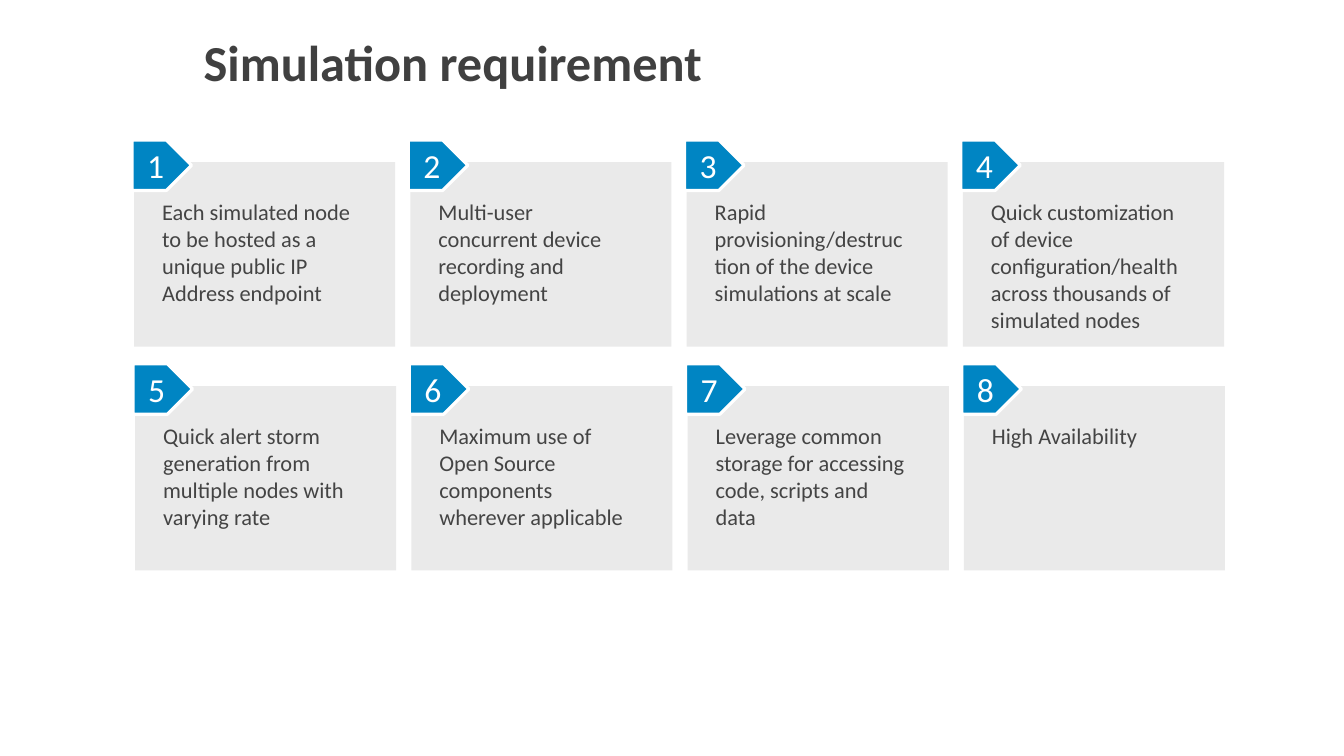
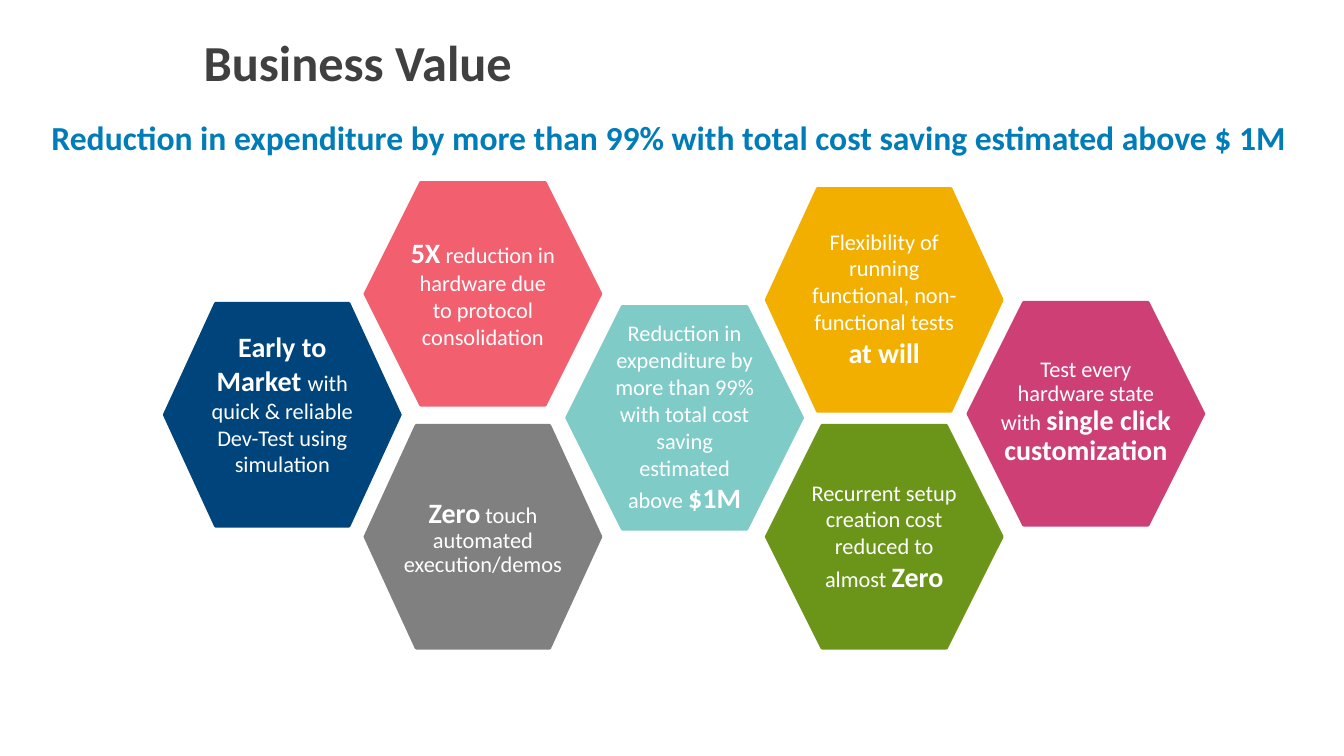
import pptx
import pptx.util
import pptx.dml.color
import pptx.enum.shapes
import pptx.enum.text
import pptx.oxml.ns
import lxml.etree

Inches = pptx.util.Inches
Pt = pptx.util.Pt
RGB = pptx.dml.color.RGBColor
Kind = pptx.enum.shapes.MSO_SHAPE
Align = pptx.enum.text.PP_ALIGN
Anchor = pptx.enum.text.MSO_ANCHOR

WHITE = RGB(0xFF, 0xFF, 0xFF)
DARK = RGB(0x40, 0x40, 0x40)
INK = RGB(0x44, 0x44, 0x44)
PALE = RGB(0xEA, 0xEA, 0xEA)
BLUE = RGB(0x00, 0x85, 0xC3)
LEAD = RGB(0x00, 0x7D, 0xB8)
NAVY = RGB(0x00, 0x44, 0x7C)
GRAY = RGB(0x80, 0x80, 0x80)
GOLD = RGB(0xF2, 0xAF, 0x00)
CORAL = RGB(0xF2, 0x60, 0x70)
GREEN = RGB(0x5C, 0x8A, 0x00)
MOSS = RGB(0x6C, 0x95, 0x19)
PLUM = RGB(0xC8, 0x2B, 0x67)
ROSE = RGB(0xCD, 0x40, 0x76)
TEAL = RGB(0x71, 0xC6, 0xC1)
MINT = RGB(0x7F, 0xCC, 0xC7)


class Deck:
    font = "Calibri"
    hex_w, hex_h = 2.34, 2.21

    def __init__(self):
        self.file = pptx.Presentation()
        self.file.slide_width = Inches(13.33)
        self.file.slide_height = Inches(7.5)
        self.slide = None

    def page(self, title, width):
        self.slide = self.file.slides.add_slide(self.file.slide_layouts[6])
        self.text([[(title, 36, True)]], 2.02, 0.05, width, 1.2, DARK,
                  pad=(0, 0.05, 0, 0.05), anchor=Anchor.MIDDLE, space=0.9)

    def text(self, paras, x, y, w, h, color, pad=(0.1, 0.05, 0.1, 0.05),
             anchor=Anchor.TOP, align=Align.LEFT, space=1.0):
        box = self.slide.shapes.add_textbox(Inches(x), Inches(y), Inches(w), Inches(h))
        frame = box.text_frame
        frame.word_wrap = True
        frame.vertical_anchor = anchor
        (frame.margin_left, frame.margin_top,
         frame.margin_right, frame.margin_bottom) = map(Inches, pad)
        for i, parts in enumerate(paras):
            para = frame.add_paragraph() if i else frame.paragraphs[0]
            para.alignment = align
            para.line_spacing = space
            for words, size, bold in parts:
                run = para.add_run()
                run.text = words
                run.font.name = self.font
                run.font.size = Pt(size)
                run.font.bold = bold
                run.font.color.rgb = color

    def shape(self, kind, x, y, w, h, fill, line=None, width=2, alpha=None):
        item = self.slide.shapes.add_shape(kind, Inches(x), Inches(y), Inches(w), Inches(h))
        item.shadow.inherit = False
        item.fill.solid()
        item.fill.fore_color.rgb = fill
        if line is None:
            item.line.fill.background()
        else:
            item.line.color.rgb = line
            item.line.width = Pt(width)
        if alpha:
            tone = item.fill._xPr.find(".//" + pptx.oxml.ns.qn("a:srgbClr"))
            lxml.etree.SubElement(tone, pptx.oxml.ns.qn("a:alpha"), val=str(alpha * 1000))
        return item

    def card(self, num, words, x, y):
        self.shape(Kind.RECTANGLE, x, y + 0.22, 2.59, 1.83, PALE)
        self.shape(Kind.PENTAGON, x - 0.02, y, 0.59, 0.5, BLUE, WHITE, 2.25)
        self.text([[(str(num), 24, False)]], x + 0.13, y + 0.05, 0.26, 0.33,
                  WHITE, pad=(0, 0, 0, 0))
        self.text([[(words, 16, False)]], x + 0.18, y + 0.53, 2.12, 1.18, INK)

    def cell(self, x, y, fill, line, alpha, slant):
        item = self.shape(Kind.HEXAGON, x, y, self.hex_w, self.hex_h, fill, line, alpha=alpha)
        item.adjustments[0] = slant

    def label(self, paras, x, y, w, h, space):
        self.text(paras, x + (self.hex_w - w) / 2, y, w, h, WHITE,
                  align=Align.CENTER, space=space)


NEEDS = [
    "Each simulated node to be hosted as a unique public IP Address endpoint",
    "Multi-user concurrent device recording and deployment",
    "Rapid provisioning/destruction of the device simulations at scale",
    "Quick customization of device configuration/health across thousands of simulated nodes",
    "Quick alert storm generation from multiple nodes with varying rate",
    "Maximum use of Open Source components wherever applicable",
    "Leverage common storage for accessing code, scripts and data",
    "High Availability",
]

CELLS = [
    (7.6, 1.87, GOLD, GOLD, None, 0.23),
    (7.6, 4.22, GREEN, MOSS, 90, 0.25),
    (3.62, 4.22, GRAY, GRAY, None, 0.23),
    (9.6, 3, PLUM, ROSE, 90, 0.25),
    (1.63, 3.01, NAVY, NAVY, None, 0.23),
    (3.62, 1.81, CORAL, CORAL, None, 0.25),
    (5.62, 3.04, TEAL, MINT, 90, 0.25),
]

LABELS = [
    ([[("Early to Market ", 20, True),
       ("with quick & reliable Dev-Test using simulation", 16, False)]],
     1.63, 3.22, 1.88, 1.58, 1.0),
    ([[("5X", 20, True),
       (" reduction in hardware due to protocol consolidation", 16, False)]],
     3.62, 2.29, 1.66, 1.25, 1.0),
    ([[("Zero", 20, True), (" touch automated execution/demos", 16, False)]],
     3.62, 4.9, 1.88, 0.9, 0.9),
    ([[("Reduction in expenditure by more than 99% with total cost saving estimated above ",
        16, False), ("$1M", 20, True)]],
     5.62, 3.12, 1.67, 2.05, 1.0),
    ([[("Flexibility of running functional, non-functional tests", 16, False)],
      [("at will", 20, True)]],
     7.6, 2.21, 1.88, 1.51, 1.0),
    ([[("Recurrent setup creation cost reduced to almost ", 16, False), ("Zero", 20, True)]],
     7.6, 4.7, 1.66, 1.25, 1.0),
    ([[("Test every hardware state with ", 16, False),
       ("single click customization", 20, True)]],
     9.6, 3.5, 1.98, 1.19, 0.9),
]


def main():
    deck = Deck()

    deck.page("Simulation requirement", 6.61)
    for i, words in enumerate(NEEDS):
        row, col = divmod(i, 4)
        deck.card(i + 1, words, 1.33 + 2.74 * col + 0.01 * row, 1.39 + 2.22 * row)

    deck.page("Business Value", 5.2)
    deck.text([[("Reduction in expenditure by more than 99% with total cost saving "
                 "estimated above $ 1M", 24, True)]],
              0.21, 1.16, 12.71, 0.46, LEAD, pad=(0.3, 0.05, 0.1, 0.05), space=0.9)
    for cell in CELLS:
        deck.cell(*cell)
    for label in LABELS:
        deck.label(*label)

    deck.file.save("out.pptx")


if __name__ == "__main__":
    main()
